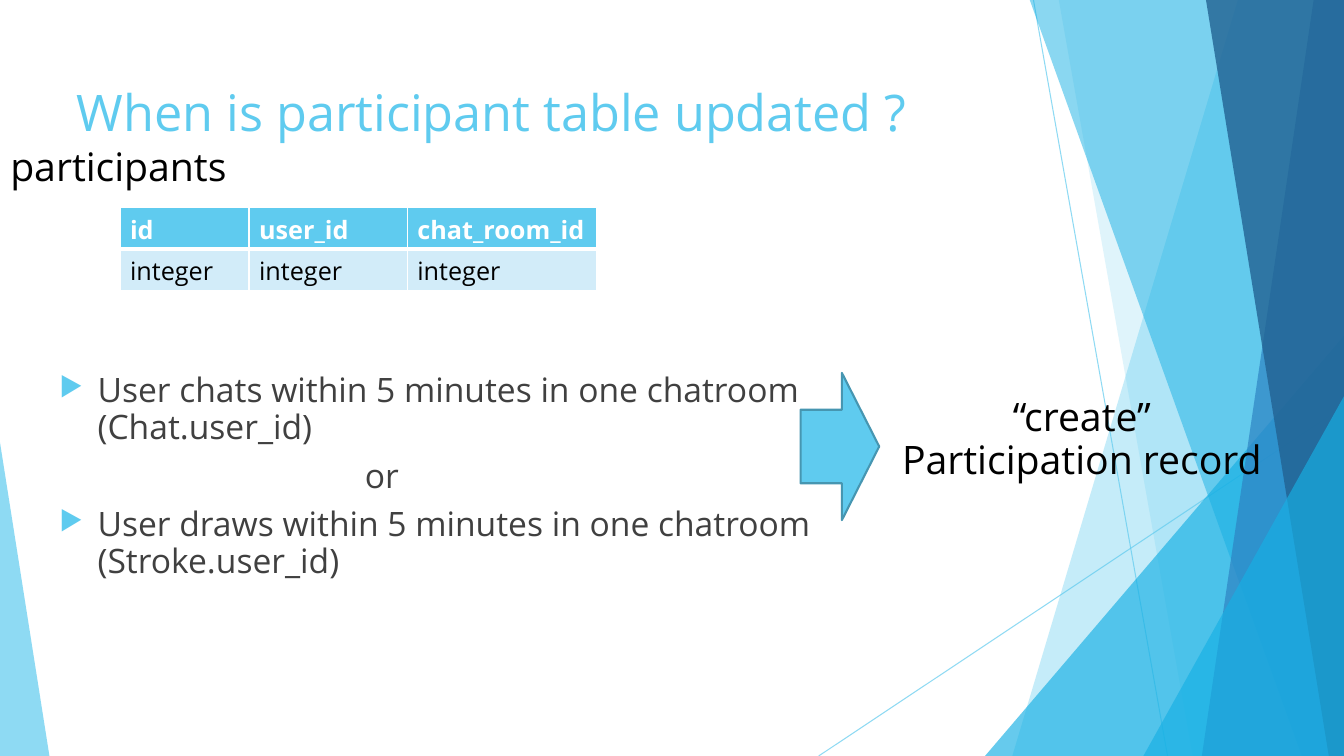
from dataclasses import dataclass

from lxml import etree
from pptx import Presentation
from pptx.dml.color import RGBColor
from pptx.enum import shapes, text
from pptx.oxml import ns
from pptx.util import Inches, Pt

FONT = "Open Sans"
COLORS = {
    "sky": "5FCBEF", "cyan": "17B0E4", "blue": "2E83C3", "navy": "226292",
    "edge": "4696B1", "pale": "D2ECF9", "gray": "404040",
    "black": "000000", "white": "FFFFFF",
}
TOP, RIGHT, BOTTOM = -0.01, 13.33, 7.5


@dataclass
class Ray:
    start: tuple[float, float]
    end: tuple[float, float]


@dataclass
class Band:
    """Facet reaching from a slanted left edge to the right side of the slide."""
    top_x: float
    bottom_x: float
    color: str
    opacity: int


@dataclass
class Corner:
    """Triangle on the bottom edge; apex is 0 for left and 1 for right."""
    left: float
    top: float
    width: float
    apex: int
    color: str
    opacity: int


@dataclass
class Label:
    lines: list[str]
    left: float
    top: float
    width: float
    height: float


@dataclass
class Condition:
    lines: list[str]
    indent: float
    bulleted: bool


RAYS = [Ray((10.25, 0), (11.58, BOTTOM)), Ray((RIGHT, 4.03), (8.12, BOTTOM))]
FACETS = [
    Band(12.28, 10.04, "sky", 36),
    Band(10.5, 11.83, "sky", 20),
    Corner(9.77, 3.33, 3.56, 1, "cyan", 66),
    Band(10.21, 12.91, "cyan", 50),
    Band(13.03, 11.92, "blue", 70),
    Band(11.96, 13.18, "navy", 80),
    Corner(11.34, 3.93, 1.99, 1, "cyan", 66),
    Corner(0, 4.39, 0.49, 0, "sky", 70),
]
CONDITIONS = [
    Condition(["User chats within 5 minutes in one chatroom", "(Chat.user_id)"], 0.38, True),
    Condition(["or"], 3.03, False),
    Condition(["User draws within 5 minutes in one chatroom", "(Stroke.user_id)"], 0.38, True),
]
LABELS = [
    Label(["participants"], -0.16, 1.42, 2.67, 0.57),
    Label(["“create”", "Participation record"], 8.77, 3.9, 3.92, 1.04),
]
COLUMN_WIDTHS = [1.28, 1.57, 1.88]
PARTICIPANT_ROWS = [["id", "user_id", "chat_room_id"], ["integer"] * 3]


def rgb(name: str) -> RGBColor:
    return RGBColor.from_string(COLORS[name])


def add_xml(parent, tag: str, **attributes: str):
    return etree.SubElement(parent, ns.qn(tag), attributes)


def set_opacity(shape, percent: int) -> None:
    color = next(shape._element.spPr.iter(ns.qn("a:srgbClr")))
    add_xml(color, "a:alpha", val=str(percent * 1000))


def add_run(paragraph, words: str, size: float, color: str, bold: bool = False) -> None:
    run = paragraph.add_run()
    run.text = words
    run.font.name, run.font.size, run.font.bold = FONT, Pt(size), bold
    run.font.color.rgb = rgb(color)


def add_text_frame(slide, left: float, top: float, width: float, height: float):
    box = slide.shapes.add_textbox(Inches(left), Inches(top), Inches(width), Inches(height))
    box.text_frame.word_wrap = True
    return box.text_frame


def paragraph_at(frame, index: int):
    return frame.add_paragraph() if index else frame.paragraphs[0]


def draw_ray(slide, ray: Ray) -> None:
    line = slide.shapes.add_connector(
        shapes.MSO_CONNECTOR.STRAIGHT, *map(Inches, ray.start + ray.end))
    line.line.color.rgb = rgb("sky")
    line.line.width = Pt(0.75)
    set_opacity(line, 70)
    add_xml(line._element.spPr, "a:effectLst")


def draw_facet(slide, facet: Band | Corner) -> None:
    if isinstance(facet, Band):
        outline = slide.shapes.build_freeform(
            Inches(facet.top_x), Inches(TOP), scale=1.0)
        corners = [(RIGHT, TOP), (RIGHT, BOTTOM), (facet.bottom_x, BOTTOM)]
        outline.add_line_segments([(Inches(x), Inches(y)) for x, y in corners])
        shape = outline.convert_to_shape()
    else:
        shape = slide.shapes.add_shape(
            shapes.MSO_SHAPE.ISOSCELES_TRIANGLE, Inches(facet.left), Inches(facet.top),
            Inches(facet.width), Inches(BOTTOM - facet.top))
        shape.adjustments[0] = facet.apex
    shape.shadow.inherit = False
    shape.fill.solid()
    shape.fill.fore_color.rgb = rgb(facet.color)
    shape.line.fill.background()
    set_opacity(shape, facet.opacity)


def write_title(slide) -> None:
    title = slide.shapes.title
    title.left, title.top, title.width, title.height = map(Inches, (0.66, 0.75, 9.4, 1.44))
    frame = title.text_frame
    frame.vertical_anchor = text.MSO_ANCHOR.TOP
    frame.auto_size = text.MSO_AUTO_SIZE.NONE
    paragraph = frame.paragraphs[0]
    paragraph.alignment = text.PP_ALIGN.LEFT
    add_run(paragraph, "When is participant table updated ?", 36, "sky")


def write_conditions(slide) -> None:
    frame = add_text_frame(slide, 0.49, 3.66, 9.4, 3.55)
    for index, condition in enumerate(CONDITIONS):
        paragraph = paragraph_at(frame, index)
        paragraph.line_spacing, paragraph.space_before = 0.9, Pt(9)
        for number, words in enumerate(condition.lines):
            if number:
                paragraph.add_line_break()
            add_run(paragraph, words, 24, "gray")
        properties = paragraph._p.get_or_add_pPr()
        properties.set("marL", str(Inches(condition.indent)))
        if condition.bulleted:
            properties.set("indent", str(-Inches(condition.indent)))
            bullet_color = add_xml(properties, "a:buClr")
            add_xml(bullet_color, "a:srgbClr", val=COLORS["sky"])
            add_xml(properties, "a:buSzPct", val="80000")
            add_xml(properties, "a:buChar", char="▶")


def write_label(slide, label: Label) -> None:
    frame = add_text_frame(slide, label.left, label.top, label.width, label.height)
    for index, words in enumerate(label.lines):
        paragraph = paragraph_at(frame, index)
        paragraph.alignment = text.PP_ALIGN.CENTER
        paragraph.line_spacing = 0.9
        add_run(paragraph, words, 28, "black")


def draw_participants(slide) -> None:
    table = slide.shapes.add_table(
        len(PARTICIPANT_ROWS), len(COLUMN_WIDTHS), Inches(1.19), Inches(2.06),
        Inches(sum(COLUMN_WIDTHS)), Inches(0.82)).table
    for column, width in zip(table.columns, COLUMN_WIDTHS):
        column.width = Inches(width)
    for row, values in enumerate(PARTICIPANT_ROWS):
        header = row == 0
        for column, value in enumerate(values):
            cell = table.cell(row, column)
            add_run(cell.text_frame.paragraphs[0], value, 18,
                    "white" if header else "black", header)
            properties = cell._tc.get_or_add_tcPr()
            for side in "LRTB":
                thick = (header and side == "B") or (not header and side == "T")
                border = add_xml(properties, f"a:ln{side}", w=str(Pt(3 if thick else 1)))
                add_xml(add_xml(border, "a:solidFill"), "a:srgbClr", val=COLORS["white"])
            cell.fill.solid()
            cell.fill.fore_color.rgb = rgb("sky" if header else "pale")


def draw_result_arrow(slide) -> None:
    arrow = slide.shapes.add_shape(
        shapes.MSO_SHAPE.UP_ARROW, Inches(7.6), Inches(4.04), Inches(1.46), Inches(0.78))
    arrow.rotation = 90
    arrow.adjustments[0], arrow.adjustments[1] = 0.5, 0.475
    arrow.shadow.inherit = False
    arrow.fill.solid()
    arrow.fill.fore_color.rgb = rgb("sky")
    arrow.line.color.rgb = rgb("edge")
    arrow.line.width = Pt(1.5)


def main() -> None:
    deck = Presentation()
    deck.slide_width, deck.slide_height = Inches(RIGHT), Inches(BOTTOM)
    slide = deck.slides.add_slide(deck.slide_layouts[5])
    for ray in RAYS:
        draw_ray(slide, ray)
    for facet in FACETS:
        draw_facet(slide, facet)
    write_title(slide)
    write_conditions(slide)
    draw_participants(slide)
    draw_result_arrow(slide)
    for label in LABELS:
        write_label(slide, label)
    deck.save("out.pptx")


if __name__ == "__main__":
    main()
